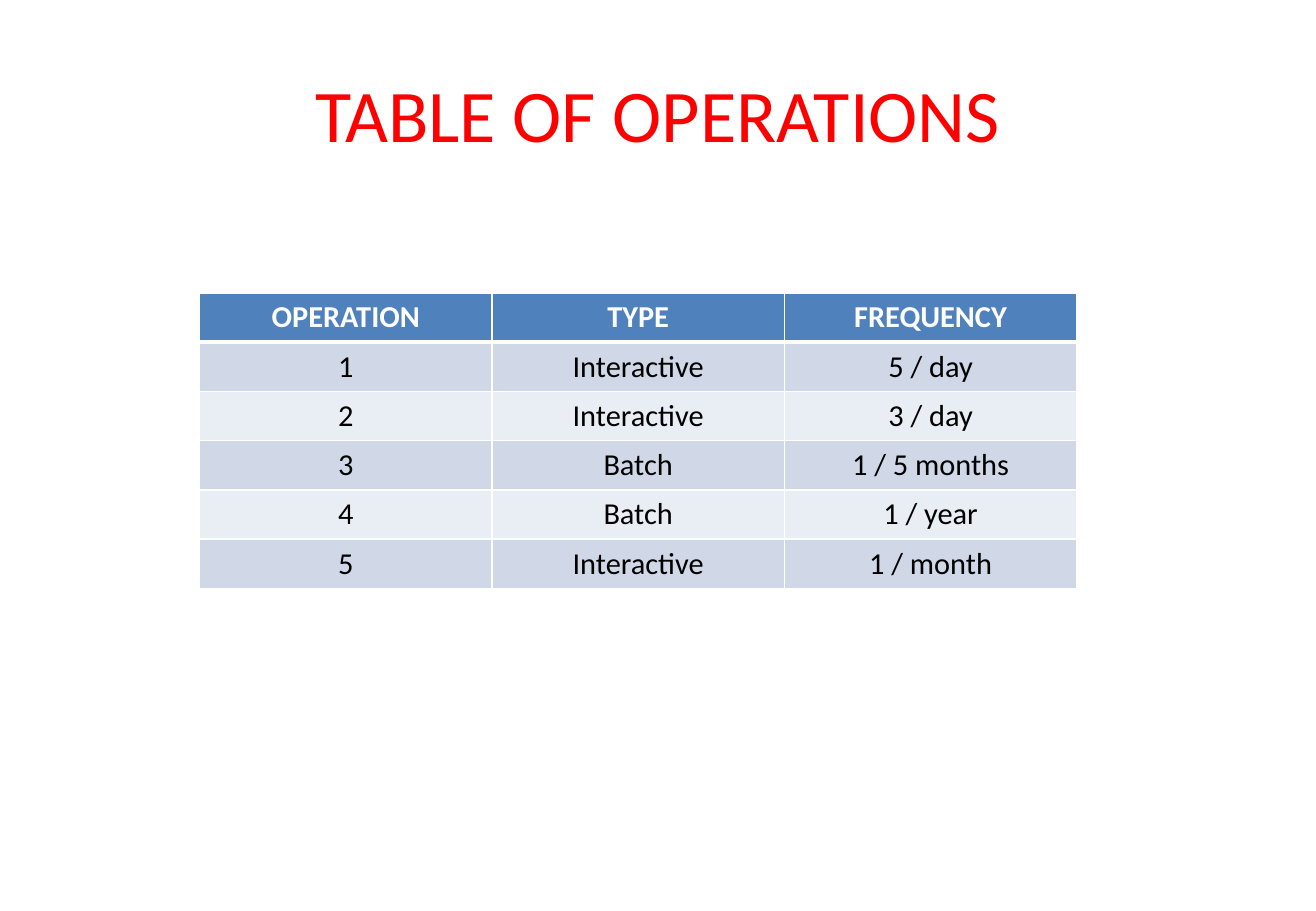
from dataclasses import dataclass

from lxml import etree
from pptx import Presentation
from pptx.dml.color import RGBColor
from pptx.enum.text import MSO_ANCHOR, PP_ALIGN
from pptx.oxml.ns import qn
from pptx.table import _Cell
from pptx.text.text import TextFrame
from pptx.util import Pt

CENTER = PP_ALIGN.CENTER
MIDDLE = MSO_ANCHOR.MIDDLE

RED = RGBColor(0xFF, 0x00, 0x00)
WHITE = RGBColor(0xFF, 0xFF, 0xFF)
BLACK = RGBColor(0x00, 0x00, 0x00)
HEADER_BLUE = RGBColor(0x4F, 0x81, 0xBD)
BAND_DARK = RGBColor(0xD0, 0xD8, 0xE8)
BAND_LIGHT = RGBColor(0xE9, 0xED, 0xF4)

COLUMN_WIDTH = Pt(173.33)
ROW_HEIGHT = Pt(29.2)
THIN, THICK = Pt(1), Pt(3)

OPERATIONS = [
    ("OPERATION", "TYPE", "FREQUENCY"),
    ("1", "Interactive", "5 / day"),
    ("2", "Interactive", "3 / day"),
    ("3", "Batch", "1 / 5 months"),
    ("4", "Batch", "1 / year"),
    ("5", "Interactive", "1 / month"),
]


@dataclass(frozen=True)
class RowStyle:
    """Look of one table row."""
    fill: RGBColor
    color: RGBColor
    bold: bool = False
    top: int = THIN
    bottom: int = THIN


HEADER = RowStyle(HEADER_BLUE, WHITE, bold=True, bottom=THICK)
FIRST = RowStyle(BAND_DARK, BLACK, top=THICK)
DARK = RowStyle(BAND_DARK, BLACK)
LIGHT = RowStyle(BAND_LIGHT, BLACK)
ROW_STYLES = [HEADER, FIRST, LIGHT, DARK, LIGHT, DARK]


def write_centered(frame: TextFrame, text: str, size: int,
                   color: RGBColor, bold: bool = False) -> None:
    """Write one centred Calibri line into a text frame."""
    paragraph = frame.paragraphs[0]
    paragraph.alignment = CENTER
    run = paragraph.add_run()
    run.text = text
    font_format = {"name": "Calibri", "size": Pt(size), "bold": bold}
    for attribute, value in font_format.items():
        setattr(run.font, attribute, value)
    run.font.color.rgb = color


def draw_borders(cell: _Cell, style: RowStyle) -> None:
    """Give a cell white borders, placed ahead of its fill."""
    widths = {"a:lnL": THIN, "a:lnR": THIN,
              "a:lnT": style.top, "a:lnB": style.bottom}
    properties = cell._tc.get_or_add_tcPr()
    for position, (edge, width) in enumerate(widths.items()):
        line = etree.Element(qn(edge), w=str(int(width)))
        solid = etree.SubElement(line, qn("a:solidFill"))
        etree.SubElement(solid, qn("a:srgbClr"), val=str(WHITE))
        properties.insert(position, line)


def fill_cell(cell: _Cell, text: str, style: RowStyle) -> None:
    """Apply text, fill and borders to one cell."""
    write_centered(cell.text_frame, text, 18, style.color, style.bold)
    cell.fill.solid()
    cell.fill.fore_color.rgb = style.fill
    draw_borders(cell, style)


presentation = Presentation()
presentation.slide_width = Pt(780)
presentation.slide_height = Pt(540)
slide = presentation.slides.add_slide(presentation.slide_layouts[6])

title = slide.shapes.add_textbox(Pt(39), Pt(21.6), Pt(702), Pt(90)).text_frame
title.word_wrap = True
title.vertical_anchor = MIDDLE
write_centered(title, "TABLE OF OPERATIONS", 44, RED)

row_count, column_count = len(OPERATIONS), len(OPERATIONS[0])
operations = slide.shapes.add_table(
    row_count, column_count, Pt(118.3), Pt(173.6),
    COLUMN_WIDTH * column_count, ROW_HEIGHT * row_count).table
for column in operations.columns:
    column.width = COLUMN_WIDTH
for row, texts, row_style in zip(operations.rows, OPERATIONS, ROW_STYLES):
    row.height = ROW_HEIGHT
    for table_cell, cell_text in zip(row.cells, texts):
        fill_cell(table_cell, cell_text, row_style)

presentation.save("out.pptx")
